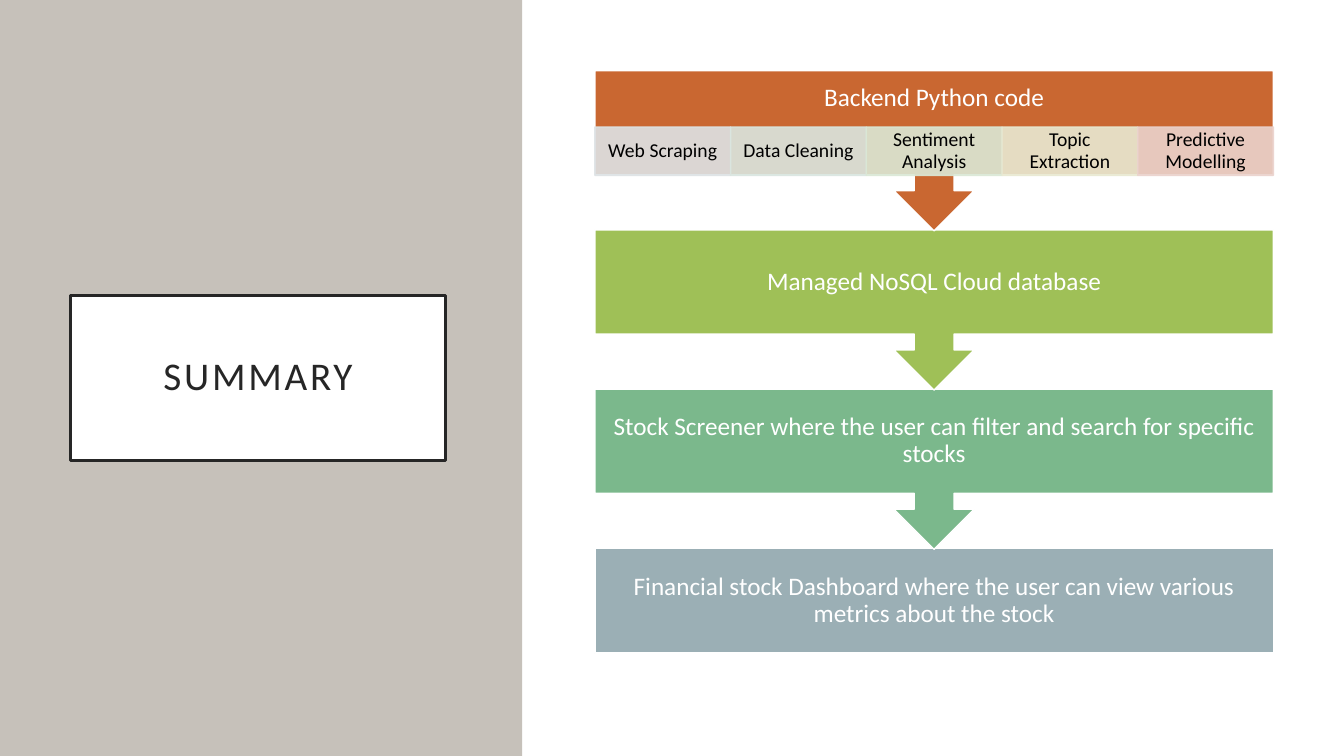
import dataclasses

import pptx
import pptx.dml.color
import pptx.enum.shapes
import pptx.enum.text
import pptx.oxml.ns
import pptx.util
from lxml import etree

Inches = pptx.util.Inches
Preset = pptx.enum.shapes.MSO_SHAPE


@dataclasses.dataclass(frozen=True)
class Theme:
    font: str = "Calibri"
    white: str = "FFFFFF"
    black: str = "000000"
    ink: str = "262626"
    panel: str = "C6C1BA"
    backend: str = "C96731"
    database: str = "9FC057"
    screener: str = "7BB88C"
    dashboard: str = "9BAFB5"
    tasks: tuple = ("DEE3E5", "DAE6E0", "DBE8D6", "E9E9D2", "EBD3CD")
    title_size: int = 28
    stage_size: int = 18
    task_size: int = 14


class SlideBuilder:
    def __init__(self, slide, theme):
        self.slide = slide
        self.theme = theme

    def block(self, left, top, width, height, color, preset=Preset.RECTANGLE,
              line=None, line_width=1, opacity=100):
        block = self.slide.shapes.add_shape(
            preset, Inches(left), Inches(top), Inches(width), Inches(height))
        block.shadow.inherit = False
        self.paint(block.fill, color)
        if line:
            self.paint(block.line.fill, line)
            block.line.width = pptx.util.Pt(line_width)
        else:
            block.line.fill.background()
        if opacity < 100:
            for tint in block.element.spPr.iter(pptx.oxml.ns.qn("a:srgbClr")):
                etree.SubElement(tint, pptx.oxml.ns.qn("a:alpha"), val=str(opacity * 1000))
        return block

    def paint(self, fill, color):
        fill.solid()
        fill.fore_color.rgb = pptx.dml.color.RGBColor.from_string(color)

    def label(self, block, text, size, color, insets):
        """Centre text in a block; insets are left, top, right and bottom in inches."""
        frame = block.text_frame
        frame.word_wrap = True
        frame.vertical_anchor = pptx.enum.text.MSO_ANCHOR.MIDDLE
        (frame.margin_left, frame.margin_top,
         frame.margin_right, frame.margin_bottom) = map(Inches, insets)
        paragraph = frame.paragraphs[0]
        paragraph.alignment = pptx.enum.text.PP_ALIGN.CENTER
        paragraph.line_spacing = 0.9
        paragraph.add_run().text = text
        paragraph.font.name = self.theme.font
        paragraph.font.size = pptx.util.Pt(size)
        self.paint(paragraph.font.fill, color)
        return paragraph

    def title(self, text, left, top, width, height):
        frame = self.block(left, top, width, height, self.theme.white,
                           line=self.theme.ink, line_width=2.5)
        heading = self.label(frame, text, self.theme.title_size, self.theme.ink, [0.2] * 4)
        heading.runs[0]._r.get_or_add_rPr().set("spc", "200")

    def stage(self, text, left, top, width, height, color, leads_on=True, strip=0):
        """Draw a flow step; strip is the height kept free below its text."""
        preset = Preset.DOWN_ARROW_CALLOUT if leads_on else Preset.RECTANGLE
        step = self.block(left, top, width, height, color, preset, line=self.theme.white)
        if leads_on:
            for index, share in enumerate((0.25, 0.25, 0.25, 0.65)):
                step.adjustments[index] = share
        self.label(step, text, self.theme.stage_size, self.theme.white,
                   (0.14, 0.14 if not strip else 0.05, 0.14, strip + (0.14 if not strip else 0.05)))

    def task(self, text, left, top, width, height, color):
        cell = self.block(left, top, width, height, color, line=color, opacity=90)
        self.label(cell, text, self.theme.task_size, self.theme.black, (0.11, 0.02, 0.11, 0.02))


def main():
    theme = Theme()
    deck = pptx.Presentation()
    deck.slide_width, deck.slide_height = Inches(13.33), Inches(7.5)
    builder = SlideBuilder(deck.slides.add_slide(deck.slide_layouts[6]), theme)

    builder.block(0, 0, 5.18, 7.5, theme.panel)
    builder.title("SUMMARY", 0.7, 2.93, 3.72, 1.64)

    flow_left, flow_top, flow_width, pitch = 5.9, 0.7, 6.73, 1.58
    task_height = 0.48
    stages = [
        ("Backend Python code", theme.backend),
        ("Managed NoSQL Cloud database", theme.database),
        ("Stock Screener where the user can filter and search for specific stocks",
         theme.screener),
        ("Financial stock Dashboard where the user can view various metrics about the stock",
         theme.dashboard),
    ]
    # Later steps go behind, so each arrow tip overlaps the step it points to.
    for index, (text, color) in reversed(list(enumerate(stages))):
        leads_on = index < len(stages) - 1
        builder.stage(text, flow_left, flow_top + index * pitch, flow_width,
                      1.59 if leads_on else 1.04, color, leads_on,
                      strip=task_height if index == 0 else 0)

    tasks = ("Web Scraping", "Data Cleaning", "Sentiment Analysis",
             "Topic Extraction", "Predictive Modelling")
    task_width = flow_width / len(tasks)
    for index, (text, color) in enumerate(zip(tasks, theme.tasks)):
        builder.task(text, flow_left + index * task_width, 1.26, task_width, task_height, color)

    deck.save("out.pptx")


if __name__ == "__main__":
    main()
